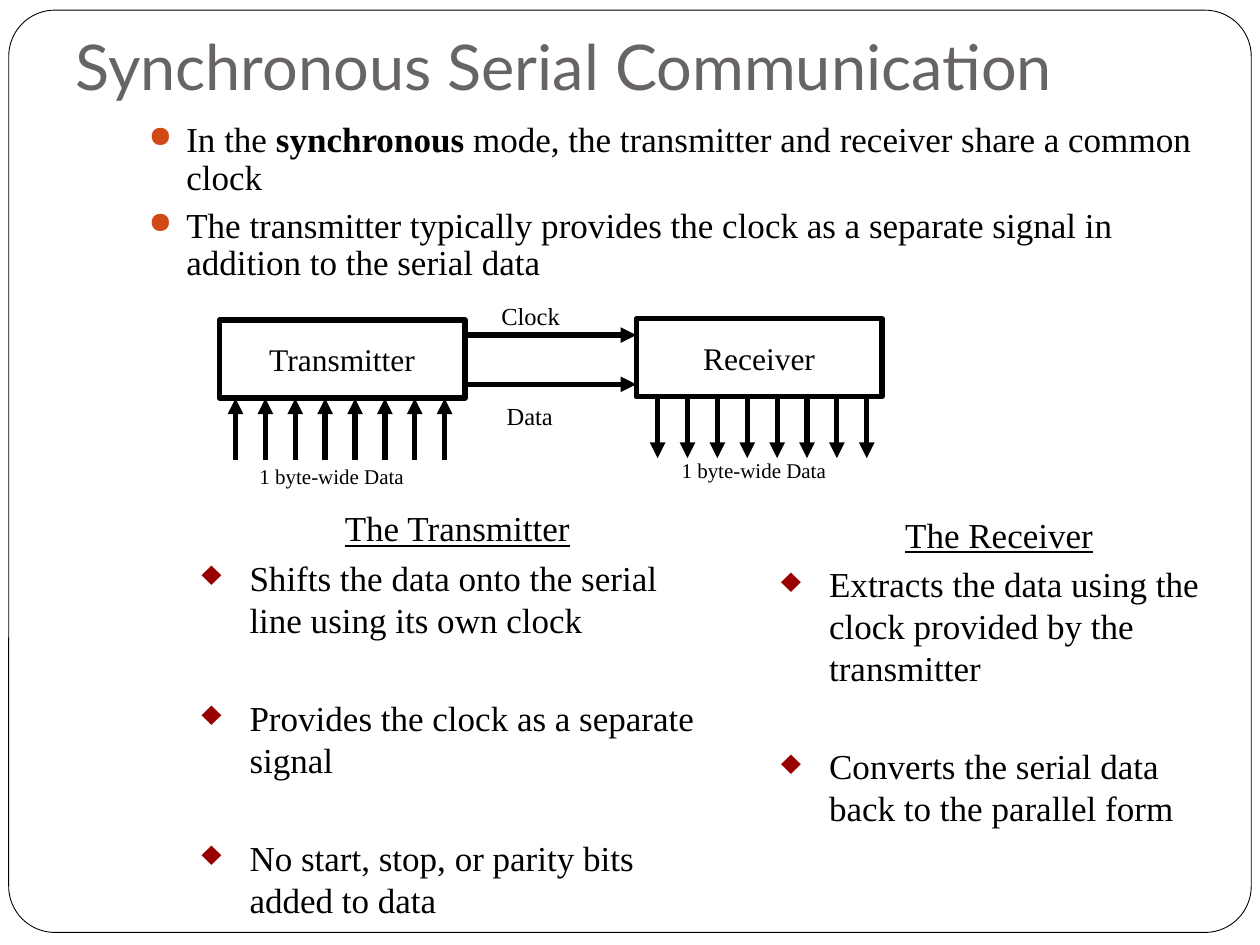
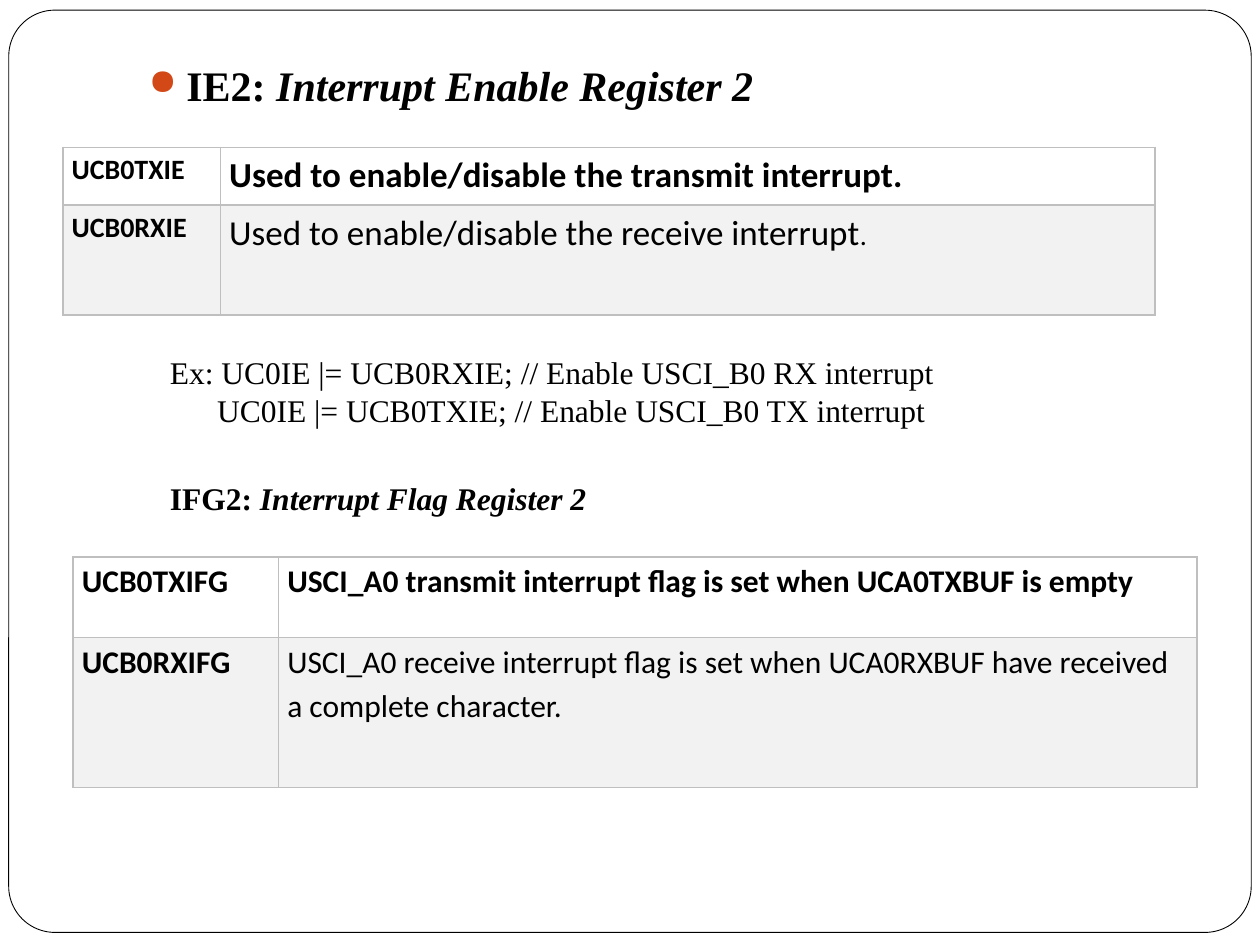
from dataclasses import dataclass, field
from typing import NamedTuple

import lxml.etree
import pptx
import pptx.dml.color
import pptx.enum.shapes
import pptx.enum.text
import pptx.oxml.ns
import pptx.util

Pt = pptx.util.Pt
RGB = pptx.dml.color.RGBColor
Align = pptx.enum.text.PP_ALIGN
Anchor = pptx.enum.text.MSO_ANCHOR
Kind = pptx.enum.shapes.MSO_SHAPE


@dataclass(frozen=True)
class Theme:
    ink: str = "000000"
    paper: str = "FFFFFF"
    title: str = "696464"
    dot: str = "D34817"
    gem: str = "990000"
    band: str = "F2F2F2"
    grid: str = "BFBFBF"
    serif: str = "Times New Roman"
    sans: str = "Calibri"
    head: str = "Lato"
    huge: float = 36
    large: float = 24
    text: float = 20
    label: float = 18
    cell: float = 16
    small: float = 14
    tiny: float = 12
    thick: float = 3


THEME = Theme()


class Box(NamedTuple):
    x: float
    y: float
    w: float
    h: float

    def lengths(self) -> list:
        return [Pt(n) for n in self]


class Pad(NamedTuple):
    side: float
    top: float
    base: float


WIDE = Pad(7.2, 3.6, 3.6)
TIGHT = Pad(6.5, 3, 3)
CELL = Pad(5, 0, 0)
TITLE = Pad(7.2, 3.6, 7.2)


class Run(NamedTuple):
    text: str
    size: float
    bold: bool = False
    slant: bool = False
    under: bool = False
    font: str = THEME.serif
    color: str = THEME.ink


class Mark(NamedTuple):
    sign: str
    color: str
    scale: int


DOT = Mark("●", THEME.dot, 85)
GEM = Mark("♦", THEME.gem, 100)


@dataclass
class Para:
    runs: list[Run]
    align: Align = Align.LEFT
    left: float = 0
    first: float = 0
    lead: float = 1.0
    before: float = 0
    after: float = 0
    mark: Mark | None = None


@dataclass
class Unit:
    """A block of the diagram with its column of text below."""
    name: str
    box: Box
    pins: tuple[float, float, float]  # first x, tail y, head y
    note: Box
    list_box: Box
    points: list[str] = field(default_factory=list)


PIN_COUNT, PIN_GAP = 8, 17.07

UNITS = [
    Unit("Transmitter", Box(125.3, 182.9, 140.4, 44.6), (134.6, 263, 227.7),
         Box(141.8, 262, 106.6, 21), Box(108.7, 289.4, 305.3, 181.4),
         ["Shifts the data onto the serial line using its own clock",
          "Provides the clock as a separate signal",
          "No start, stop, or parity bits added to data"]),
    Unit("Receiver", Box(363.6, 182.2, 140.4, 44.6), (375.8, 226.6, 261.8),
         Box(383, 258.5, 106.6, 21), Box(439.9, 293, 262.1, 208.8),
         ["Extracts the data using the clock provided by the transmitter",
          "Converts the serial data back to the parallel form"]),
]


def add_tag(parent, name: str, **attrs: str):
    tag = lxml.etree.SubElement(parent, pptx.oxml.ns.qn(name))
    for key, val in attrs.items():
        tag.set(key, val)
    return tag


def color(text: str) -> RGB:
    return RGB.from_string(text)


def set_mark(props, mark: Mark) -> None:
    add_tag(add_tag(props, "a:buClr"), "a:srgbClr", val=mark.color)
    add_tag(props, "a:buSzPct", val=str(mark.scale * 1000))
    add_tag(props, "a:buChar", char=mark.sign)


def write(frame, paras: list[Para]) -> None:
    for i, item in enumerate(paras):
        para = frame.add_paragraph() if i else frame.paragraphs[0]
        para.alignment = item.align
        para.line_spacing = item.lead
        para.space_before, para.space_after = Pt(item.before), Pt(item.after)
        props = para._p.get_or_add_pPr()
        props.set("marL", str(Pt(item.left)))
        props.set("indent", str(Pt(item.first)))
        if item.mark:
            set_mark(props, item.mark)
        for part in item.runs:
            run = para.add_run()
            run.text = part.text
            font = run.font
            font.name, font.size = part.font, Pt(part.size)
            font.bold, font.italic = part.bold, part.slant
            font.underline = part.under
            font.color.rgb = color(part.color)


def set_pad(item, pad: Pad) -> None:
    """Set the margins of a text frame or a table cell."""
    item.margin_left = item.margin_right = Pt(pad.side)
    item.margin_top, item.margin_bottom = Pt(pad.top), Pt(pad.base)


def set_frame(frame, pad: Pad, anchor: Anchor, wrap: bool = True) -> None:
    frame.auto_size = pptx.enum.text.MSO_AUTO_SIZE.NONE
    frame.word_wrap = wrap
    frame.vertical_anchor = anchor
    set_pad(frame, pad)


def add_text(slide, box: Box, paras: list[Para], pad: Pad = WIDE,
             anchor: Anchor = Anchor.TOP, wrap: bool = True) -> None:
    frame = slide.shapes.add_textbox(*box.lengths()).text_frame
    set_frame(frame, pad, anchor, wrap)
    write(frame, paras)


def add_shape(slide, kind: Kind, box: Box, width: float):
    shape = slide.shapes.add_shape(kind, *box.lengths())
    shape.shadow.inherit = False
    shape.fill.background()
    shape.line.color.rgb = color(THEME.ink)
    shape.line.width = Pt(width)
    return shape


def add_arrow(slide, x1: float, y1: float, x2: float, y2: float) -> None:
    line = slide.shapes.add_connector(
        pptx.enum.shapes.MSO_CONNECTOR.STRAIGHT, Pt(x1), Pt(y1), Pt(x2), Pt(y2))
    line.line.color.rgb = color(THEME.ink)
    line.line.width = Pt(THEME.thick)
    add_tag(line.line._get_or_add_ln(), "a:tailEnd", type="triangle")
    add_tag(line._element.spPr, "a:effectLst")


def set_edges(cell) -> None:
    props = cell._tc.get_or_add_tcPr()
    for i, side in enumerate(("lnL", "lnR", "lnT", "lnB")):
        edge = add_tag(props, f"a:{side}", w=str(Pt(1)))
        add_tag(add_tag(edge, "a:solidFill"), "a:srgbClr", val=THEME.grid)
        props.insert(i, edge)


def add_table(slide, box: Box, cols: list[float], rows: list[float],
              cells: list[list[list[Run]]], after: float = 0) -> None:
    table = slide.shapes.add_table(len(rows), len(cols), *box.lengths()).table
    table.first_row = table.horz_banding = False
    for col, width in zip(table.columns, cols):
        col.width = Pt(width)
    for r, height in enumerate(rows):
        table.rows[r].height = Pt(height)
        for c, runs in enumerate(cells[r]):
            cell = table.cell(r, c)
            cell.fill.solid()
            cell.fill.fore_color.rgb = color(THEME.band if r % 2 else THEME.paper)
            set_edges(cell)
            set_pad(cell, CELL)
            write(cell.text_frame, [Para(runs, lead=1.15, after=after)])


def sans(text: str, size: float, bold: bool = True) -> Run:
    return Run(text, size, bold, font=THEME.sans)


def bullet(runs: list[Run], lead: float = 1.0) -> Para:
    return Para(runs, left=21.6, first=-21.6, lead=lead, before=5.8, mark=DOT)


def add_frame(deck, slide) -> None:
    """Put the rounded page border on the master, behind all else."""
    frame = add_shape(slide, Kind.ROUNDED_RECTANGLE, Box(5, 5.8, 710, 527), 0.5)
    frame.adjustments[0] = 0.05
    frame.fill.solid()
    frame.fill.fore_color.rgb = color(THEME.paper)
    deck.slide_master.element.cSld.spTree.insert(2, frame._element)


def set_title(slide, text: str) -> None:
    title = slide.shapes.title
    title.left, title.top, title.width, title.height = Box(36, 12.2, 648, 54).lengths()
    set_frame(title.text_frame, TITLE, Anchor.BOTTOM)
    write(title.text_frame, [Para([Run(text, THEME.huge, font=THEME.head,
                                       color=THEME.title)])])


def add_unit(slide, unit: Unit) -> None:
    block = add_shape(slide, Kind.RECTANGLE, unit.box, THEME.thick)
    set_frame(block.text_frame, TIGHT, Anchor.MIDDLE, wrap=False)
    write(block.text_frame, [Para([Run(unit.name, THEME.label)], Align.CENTER)])
    start, tail, head = unit.pins
    for i in range(PIN_COUNT):
        x = start + i * PIN_GAP
        add_arrow(slide, x, tail, x, head)
    add_text(slide, unit.note, [Para([Run("1 byte-wide Data", THEME.tiny)])], TIGHT)
    paras = [Para([Run(f"The {unit.name}", THEME.text, under=True)],
                  Align.CENTER, 27.4, -27.4, 0.9)]
    for i, point in enumerate(unit.points):
        paras.append(Para([Run(point, THEME.text)], left=27.4, first=-27.4,
                          before=32 if i else 4, mark=GEM))
    add_text(slide, unit.list_box, paras, TIGHT)


def draw_serial(slide) -> None:
    set_title(slide, "Synchronous Serial Communication")
    size = THEME.text
    add_text(slide, Box(77.8, 66.2, 623.5, 95), [
        bullet([Run("In the ", size), Run("synchronous", size, True),
                Run(" mode, the transmitter and receiver share a common clock", size)], 0.9),
        bullet([Run("The transmitter typically provides the clock as a separate "
                    "signal in addition to the serial data", size)], 0.9)])
    for unit in UNITS:
        add_unit(slide, unit)
    send, get = (unit.box for unit in UNITS)
    for name, y, box in (("Clock", 191.5, Box(280, 169.2, 69, 23)),
                         ("Data", 219.6, Box(283, 226, 69, 23))):
        add_arrow(slide, send.x + send.w, y, get.x, y)
        add_text(slide, box, [Para([Run(name, THEME.small)])], TIGHT)


def draw_flags(slide) -> None:
    big, mid, low = THEME.text, THEME.label, THEME.cell
    add_text(slide, Box(77.8, 30.2, 590, 40), [bullet([
        Run("IE2: ", THEME.large, True),
        Run("Interrupt Enable Register 2", THEME.large, True, True)])])
    add_table(slide, Box(36, 84.2, 624, 95.8), [90, 534], [33.1, 62.7], [
        [[sans("UCB0TXIE", low)],
         [sans("Used to enable/disable the transmit interrupt.", big)]],
        [[sans("UCB0RXIE", low)],
         [sans("Used to enable/disable the receive interrupt", big, False),
          sans(".", low, False)]]])
    add_text(slide, Box(90, 198, 612, 51), [
        Para([Run("Ex: UC0IE |= UCB0RXIE; // Enable USCI_B0 RX interrupt", mid)]),
        Para([Run("UC0IE |= UCB0TXIE; // Enable USCI_B0 TX interrupt", mid)], left=27)],
        anchor=Anchor.MIDDLE)
    add_text(slide, Box(90, 270, 276.5, 29), [Para([
        Run("IFG2: ", mid, True),
        Run("Interrupt Flag Register 2", mid, True, True)])], wrap=False)
    add_table(slide, Box(41.8, 318.2, 642.3, 131.8), [117.4, 524.9], [46.1, 85.7], [
        [[sans("UCB0TXIFG", mid)],
         [sans("USCI_A0 transmit interrupt flag is set when UCA0TXBUF is empty", mid)]],
        [[sans("UCB0RXIFG", mid)],
         [sans("USCI_A0 receive interrupt flag is set when UCA0RXBUF have received "
               "a complete character.", mid, False)]]], after=10)


def main() -> None:
    deck = pptx.Presentation()
    deck.slide_width, deck.slide_height = Pt(720), Pt(540)
    titled, blank = deck.slide_layouts[5], deck.slide_layouts[6]
    serial = deck.slides.add_slide(titled)
    add_frame(deck, serial)
    draw_serial(serial)
    draw_flags(deck.slides.add_slide(blank))
    deck.save("out.pptx")


if __name__ == "__main__":
    main()
